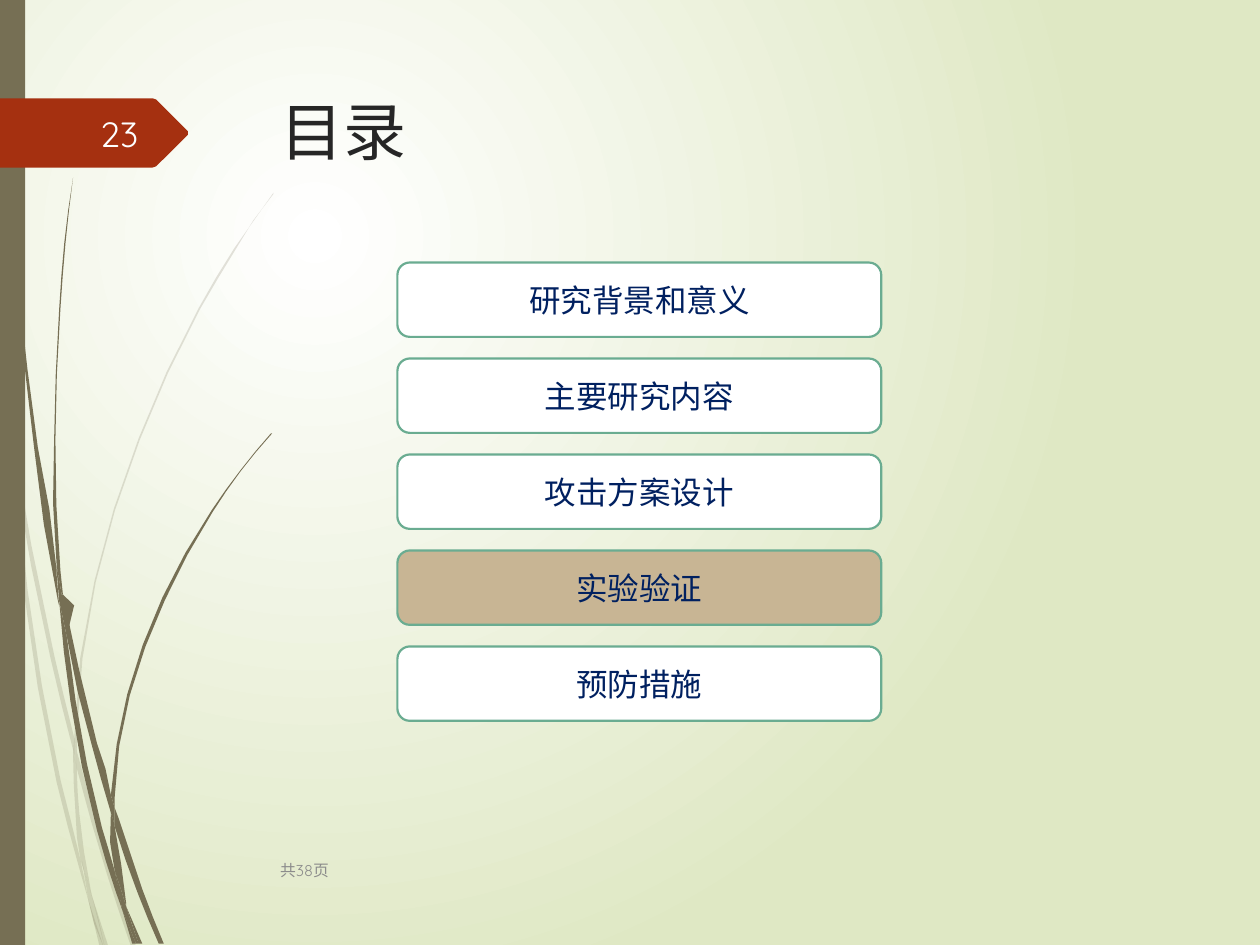
"""Agenda slide with tapered grass wisps, a page tag and five topic boxes."""
from math import dist

from lxml import etree
from pptx import Presentation
from pptx.dml.color import RGBColor
from pptx.enum.shapes import MSO_SHAPE
from pptx.enum.text import MSO_ANCHOR, PP_ALIGN
from pptx.oxml.ns import qn
from pptx.util import Pt

RECT, ROUND = MSO_SHAPE.RECTANGLE, MSO_SHAPE.ROUNDED_RECTANGLE
TOP, MIDDLE = MSO_ANCHOR.TOP, MSO_ANCHOR.MIDDLE
LEFT, CENTER, RIGHT = PP_ALIGN.LEFT, PP_ALIGN.CENTER, PP_ALIGN.RIGHT
FONT = "Quicksand"
COLORS = {
    "white": "FFFFFF", "pale": "DFE8C4", "grass": "766F54", "tag": "A53010",
    "title": "262626", "number": "FEFFFF", "footer": "8C8C8C",
    "topic": "002060", "border": "6AAC91", "current": "C8B594",
}
GRID = Pt(0.72)
TOPICS = ["研究背景和意义", "主要研究内容", "攻击方案设计", "实验验证", "预防措施"]
CURRENT = "实验验证"

TAG = [[(0, 78), (121, 78)], [(124, 79), (149, 104)],
       [(149, 107), (124, 132)], [(121, 133), (0, 133)]]

FAINT_WISPS = [
    [[(8, 350), (6, 322), (0, 282)], [(0, 299), (7, 344), (8, 350)]],
    [[(10, 345), (43, 520), (59, 586)], [(59, 599), (40, 522), (12, 376)]],
    [[(61, 596), (64, 607), (88, 692), (108, 751)],
     [(104, 751), (85, 694), (61, 610)]],
    [[(73, 711), (86, 751)], [(83, 751), (73, 711)]],
    [[(8, 350), (12, 376), (22, 469), (48, 619), (64, 683), (70, 714)],
     [(70, 714), (64, 693), (45, 621), (19, 470), (8, 350)]],
    [[(58, 599), (60, 646), (64, 683), (67, 692), (73, 711)],
     [(73, 711), (72, 706), (63, 646), (61, 610), (61, 608), (58, 599)]],
    [[(61, 596), (61, 584), (76, 462), (111, 349), (159, 245), (187, 198),
      (201, 175), (217, 154)],
     [(217, 153), (201, 175), (186, 197), (158, 244), (110, 348), (75, 461),
      (59, 584), (59, 586)]],
    [[(70, 714), (79, 751)], [(82, 751), (70, 714)]],
    [[(58, 599), (61, 608), (61, 610)], [(61, 596), (59, 586)]],
    [[(65, 683), (69, 707), (70, 714), (82, 751)],
     [(83, 751), (73, 711), (67, 692), (65, 683)]],
]

DARK_WISPS = [
    [[(2, 0), (3, 48), (5, 110), (14, 233), (27, 355), (46, 477), (47, 481)],
     [(45, 457), (45, 453), (30, 355), (15, 232), (6, 109), (4, 48), (3, 0)]],
    [[(50, 472), (53, 505), (73, 592), (88, 645)],
     [(88, 633), (88, 631), (77, 590), (50, 472)]],
    [[(91, 641), (94, 649), (113, 706), (130, 749)],
     [(126, 749), (109, 708), (91, 656)]],
    [[(47, 477), (53, 505), (60, 556), (81, 657), (91, 691), (97, 722)],
     [(97, 722), (92, 708), (77, 659), (56, 557), (47, 477)]],
    [[(50, 472), (48, 453), (44, 349), (48, 245), (52, 193), (58, 141)],
     [(58, 141), (51, 193), (47, 245), (43, 349), (45, 449), (49, 472)]],
    [[(100, 719), (113, 749)], [(110, 749), (100, 719)]],
    [[(45, 449), (45, 453), (47, 477), (53, 505)],
     [(53, 505), (50, 472), (49, 472), (45, 449)]],
    [[(91, 641), (91, 633), (103, 552), (131, 476), (169, 406), (191, 374),
      (203, 359), (216, 344)],
     [(215, 344), (203, 358), (191, 373), (168, 405), (129, 474), (101, 551),
      (88, 631)]],
    [[(97, 722), (105, 749)], [(108, 749), (97, 722)]],
    [[(88, 645), (91, 691), (96, 706), (100, 719)],
     [(100, 716), (91, 656), (90, 651), (88, 645)]],
    [[(88, 631), (88, 645), (90, 651), (91, 656)], [(91, 641), (88, 631)]],
    [[(91, 691), (96, 717), (97, 722), (108, 749)],
     [(110, 749), (100, 719), (96, 706), (91, 691)]],
]


def smooth(edge):
    """Return the points of an edge with a curved midpoint on each long span."""
    if len(edge) == 2:
        return edge
    spans = [dist(a, b) for a, b in zip(edge, edge[1:])]
    slopes = [[(q - p) / h for p, q in zip(a, b)]
              for a, b, h in zip(edge, edge[1:], spans)]
    inner = [[(h2 * u + h1 * v) / (h1 + h2) for u, v in zip(d1, d2)]
             for d1, d2, h1, h2 in zip(slopes, slopes[1:], spans, spans[1:])]
    first = [2 * d - m for d, m in zip(slopes[0], inner[0])]
    last = [2 * d - m for d, m in zip(slopes[-1], inner[-1])]
    tangents = [first, *inner, last]
    curve = [edge[0]]
    for a, b, h, m, n in zip(edge, edge[1:], spans, tangents, tangents[1:]):
        if h > 30:
            curve.append(tuple((p + q) / 2 + h * (u - v) / 8
                               for p, q, u, v in zip(a, b, m, n)))
        curve.append(b)
    return curve


def paint(sp, color, line=None):
    """Give a shape a flat fill and an optional outline."""
    sp.shadow.inherit = False
    sp.fill.solid()
    sp.fill.fore_color.rgb = RGBColor.from_string(COLORS[color])
    if line:
        sp.line.color.rgb = RGBColor.from_string(COLORS[line])
        sp.line.width = Pt(1.25)
    else:
        sp.line.fill.background()


def add_outline(s, edges, color, alpha=None):
    """Draw a closed outline made of smoothed edges."""
    pts = list(dict.fromkeys(pt for edge in edges for pt in smooth(edge)))
    pts = [(x * GRID, y * GRID) for x, y in pts]
    builder = s.shapes.build_freeform(*pts[0], scale=1.0)
    builder.add_line_segments(pts[1:], close=True)
    sp = builder.convert_to_shape()
    paint(sp, color)
    if alpha:
        clr = sp._element.spPr.find(qn("a:solidFill"))[0]
        etree.SubElement(clr, qn("a:alpha"), val=str(alpha * 1000))


def write(sp, text, size, color, align=LEFT, anchor=MIDDLE):
    """Put one run of text into a shape."""
    tf = sp.text_frame
    tf.word_wrap = True
    tf.vertical_anchor = anchor
    p = tf.paragraphs[0]
    p.alignment = align
    r = p.add_run()
    r.text = text
    r.font.name = FONT
    r.font.size = Pt(size)
    r.font.color.rgb = RGBColor.from_string(COLORS[color])


def add_text(s, box, *style):
    """Add a text box at a left, top, width and height in points."""
    write(s.shapes.add_textbox(*map(Pt, box)), *style)


def add_box(s, kind, box, color, line=None):
    """Add a preset shape at a left, top, width and height in points."""
    sp = s.shapes.add_shape(kind, *map(Pt, box))
    paint(sp, color, line)
    return sp


def set_background(s):
    """Fill the background with a radial glow from the upper left."""
    fill = s.background.fill
    fill.gradient()
    for stop, color in zip(fill.gradient_stops, ("white", "pale")):
        stop.color.rgb = RGBColor.from_string(COLORS[color])
    lin = s._element.find(".//" + qn("a:lin"))
    glow = etree.Element(qn("a:path"), path="circle")
    etree.SubElement(glow, qn("a:fillToRect"),
                     l="50000", t="50000", r="100000", b="100000")
    lin.getparent().replace(lin, glow)


def main():
    """Build the slide and save it."""
    prs = Presentation()
    prs.slide_width, prs.slide_height = Pt(720), Pt(540)
    s = prs.slides.add_slide(prs.slide_layouts[6])
    set_background(s)
    for wisp in FAINT_WISPS:
        add_outline(s, wisp, "grass", 20)
    for wisp in DARK_WISPS:
        add_outline(s, wisp, "grass")
    add_box(s, RECT, (0, 0, 14.4, 540), "grass")
    add_outline(s, TAG, "tag")
    add_text(s, (153.4, 49.3, 519, 100.8), "目录", 36, "title", LEFT, TOP)
    for i, topic in enumerate(TOPICS):
        color = "current" if topic == CURRENT else "white"
        sp = add_box(s, ROUND, (227.1, 150 + 54.85 * i, 276.5, 42.5), color, "border")
        write(sp, topic, 18, "topic", CENTER)
    add_text(s, (40, 61.9, 46.1, 28.8), "23", 20, "number", RIGHT)
    add_text(s, (153, 483.1, 450, 28.8), "共38页", 9, "footer")
    prs.save("out.pptx")


if __name__ == "__main__":
    main()
